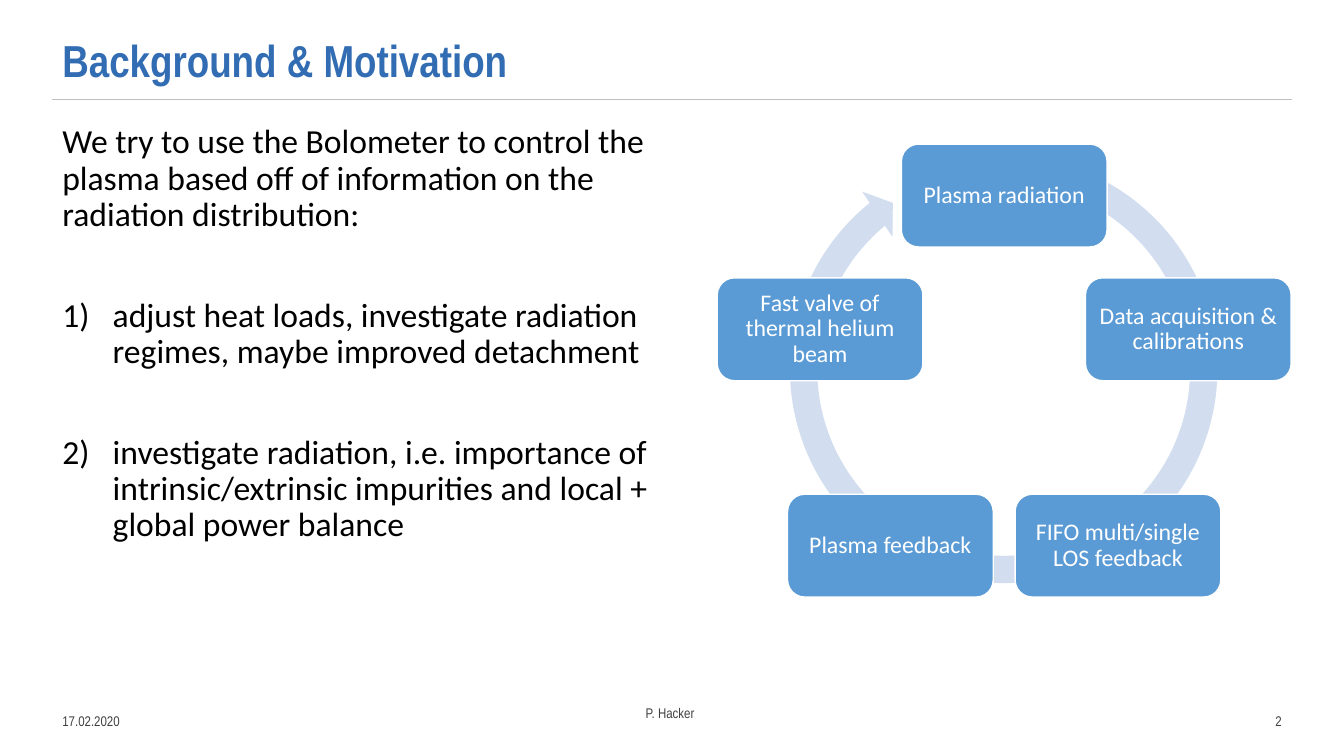
from dataclasses import dataclass
from math import cos, radians, sin

from lxml.etree import SubElement
from pptx import Presentation
from pptx.dml.color import RGBColor as RGB
from pptx.enum.shapes import MSO_CONNECTOR as Link, MSO_SHAPE as Shape
from pptx.enum.text import MSO_ANCHOR as Anchor, PP_ALIGN as Align
from pptx.oxml.ns import qn
from pptx.util import Inches, Pt


@dataclass(frozen=True)
class Theme:
    blue: str = "326CB3"
    node: str = "5B9BD5"
    ring: str = "D2DEEF"
    rule: str = "BFBFBF"
    grey: str = "404040"
    black: str = "000000"
    white: str = "FFFFFF"
    head: str = "Arial Narrow"
    body: str = "Calibri"
    title: int = 32
    text: int = 24
    label: int = 17
    foot: int = 10


class Deck:
    def __init__(self, theme, slide):
        self.theme = theme
        self.shapes = slide.shapes

    def add_text(self, para, text, size, font, color, bold=False):
        run = para.add_run()
        run.text = text
        run.font.size = Pt(size)
        run.font.name = font
        run.font.bold = bold
        run.font.color.rgb = RGB.from_string(color)

    def box(self, x, y, w, h, anchor=Anchor.MIDDLE):
        area = self.shapes.add_textbox(Inches(x), Inches(y), Inches(w), Inches(h))
        frame = area.text_frame
        frame.word_wrap = True
        frame.vertical_anchor = anchor
        return frame

    def rule(self, x, y, end):
        line = self.shapes.add_connector(
            Link.STRAIGHT, Inches(x), Inches(y), Inches(end), Inches(y))
        line.line.color.rgb = RGB.from_string(self.theme.rule)
        line.line.width = Pt(1)
        SubElement(line._element.spPr, qn("a:effectLst"))

    def title(self, text, x, y, w, h):
        para = self.box(x, y, w, h, Anchor.BOTTOM).paragraphs[0]
        para.line_spacing = 0.9
        self.add_text(para, text, self.theme.title, self.theme.head, self.theme.blue, True)

    def foot(self, text, x, y, w, align):
        para = self.box(x, y, w, 0.4).paragraphs[0]
        para.alignment = align
        self.add_text(para, text, self.theme.foot, self.theme.head, self.theme.grey)

    def body(self, intro, items, x, y, w, h):
        frame = self.box(x, y, w, h, Anchor.TOP)
        for i, text in enumerate([intro, *items]):
            para = frame.add_paragraph() if i else frame.paragraphs[0]
            para.line_spacing = 0.9
            if i:
                para.space_before = Pt(46)
                self.number(para)
            self.add_text(para, text, self.theme.text, self.theme.body, self.theme.black)

    def number(self, para):
        props = para._p.get_or_add_pPr()
        props.set("marL", str(Inches(0.5)))
        props.set("indent", str(Inches(-0.5)))
        SubElement(props, qn("a:buFont"), typeface="+mj-lt")
        SubElement(props, qn("a:buAutoNum"), type="arabicParenR")

    def shape(self, kind, x, y, w, h, color):
        form = self.shapes.add_shape(kind, Inches(x), Inches(y), Inches(w), Inches(h))
        form.shadow.inherit = False
        form.fill.solid()
        form.fill.fore_color.rgb = RGB.from_string(color)
        return form

    def ring(self, x, y, size, turns):
        arrow = self.shape(Shape.CIRCULAR_ARROW, x, y, size, size, self.theme.ring)
        arrow.line.fill.background()
        for i, turn in enumerate(turns):
            arrow.adjustments[i] = turn

    def node(self, text, x, y, w, h):
        card = self.shape(Shape.ROUNDED_RECTANGLE, x - w / 2, y - h / 2, w, h, self.theme.node)
        card.line.color.rgb = RGB.from_string(self.theme.white)
        card.line.width = Pt(1)
        frame = card.text_frame
        frame.word_wrap = True
        frame.vertical_anchor = Anchor.MIDDLE
        frame.margin_left = frame.margin_right = Inches(0.07)
        frame.margin_top = frame.margin_bottom = Inches(0.07)
        para = frame.paragraphs[0]
        para.alignment = Align.CENTER
        para.line_spacing = 0.9
        self.add_text(para, text, self.theme.label, self.theme.body, self.theme.white)

    def cycle(self, steps, x, y, radius):
        for i, text in enumerate(steps):
            turn = radians(360 * i / len(steps) - 90)
            self.node(text, x + radius * cos(turn), y + radius * sin(turn), 2.04, 1.02)


def main():
    show = Presentation()
    show.slide_width = Inches(13.33)
    show.slide_height = Inches(7.5)
    deck = Deck(Theme(), show.slides.add_slide(show.slide_layouts[6]))

    deck.rule(0.52, 0.99, 12.81)
    deck.title("Background & Motivation", 0.52, 0.21, 10.39, 0.7)
    deck.foot("17.02.2020", 0.52, 6.95, 1.22, Align.LEFT)
    deck.foot("P. Hacker", 1.96, 6.87, 9.37, Align.CENTER)
    deck.foot("2", 11.63, 6.95, 1.18, Align.RIGHT)
    deck.body(
        "We try to use the Bolometer to control the plasma based off of "
        "information on the radiation distribution:",
        ["adjust heat loads, investigate radiation regimes, maybe improved detachment",
         "investigate radiation, i.e. importance of intrinsic/extrinsic impurities "
         "and local + global power balance"],
        0.52, 1.19, 6.24, 5.59)
    deck.ring(7.7, 1.41, 4.51, [0.06, 3.31, 138.5, 173.41, 0.06])
    deck.cycle(
        ["Plasma radiation", "Data acquisition & calibrations",
         "FIFO multi/single LOS feedback", "Plasma feedback",
         "Fast valve of thermal helium beam"],
        9.96, 3.86, 1.92)
    show.save("out.pptx")


if __name__ == "__main__":
    main()
